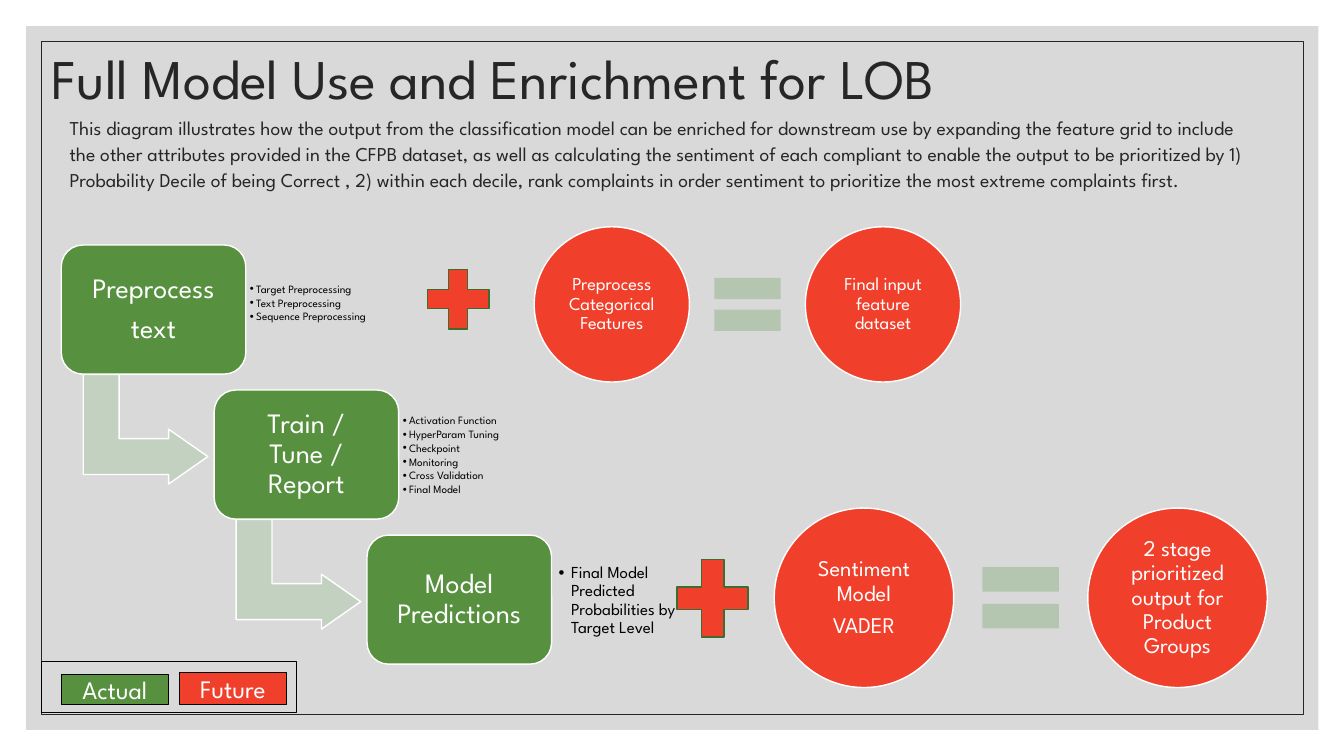
from dataclasses import dataclass

from lxml import etree
from pptx import Presentation
from pptx import util as u
from pptx.dml.color import RGBColor
from pptx.enum import shapes, text
from pptx.oxml import ns

Pt = u.Pt
Kind = shapes.MSO_SHAPE
Align = text.PP_ALIGN
Anchor = text.MSO_ANCHOR

FONT = "League Spartan"
WHITE = RGBColor(0xFF, 0xFF, 0xFF)
BLACK = RGBColor(0x00, 0x00, 0x00)
INK = RGBColor(0x26, 0x26, 0x26)
PANEL = RGBColor(0xD9, 0xD9, 0xD9)
GREEN = RGBColor(0x57, 0x90, 0x3F)
DARK_GREEN = RGBColor(0x40, 0x6B, 0x2F)
ARROW_GREEN = RGBColor(0xC3, 0xD1, 0xC0)
EQUAL_GREEN = RGBColor(0xB4, 0xC6, 0xB0)
RED = RGBColor(0xF0, 0x3F, 0x2B)

TITLE = "Full Model Use and Enrichment for LOB"
INTRO = (
    "This diagram illustrates how the output from the classification model can be "
    "enriched for downstream use by expanding the feature grid to include the other "
    "attributes provided in the CFPB dataset, as well as calculating the sentiment of "
    "each compliant to enable the output to be prioritized by 1) Probability Decile of "
    "being Correct , 2) within each decile, rank complaints in order sentiment to "
    "prioritize the most extreme complaints first."
)


@dataclass
class Frame:
    left: float
    top: float
    width: float
    height: float


@dataclass
class Style:
    size: float
    color: RGBColor = WHITE
    align: Align = Align.CENTER
    spacing: float = 0.9
    after: float = 0
    inset: float = 5.5
    anchor: Anchor = Anchor.MIDDLE
    bullet_indent: float = 0


@dataclass
class Step:
    label: str
    details: str
    size: float
    inset: float
    indent: float
    lift: float = 0


@dataclass
class Equation:
    plus: Frame
    lefts: tuple[float, float]
    top: float
    diameter: float
    labels: tuple[str, str]
    size: float


STEPS = [
    Step("Preprocess\ntext",
         "Target Preprocessing\nText Preprocessing\nSequence Preprocessing",
         8, 2.9, 4.5, lift=5),
    Step("Train / Tune / Report",
         "Activation Function\nHyperParam Tuning\nCheckpoint\nMonitoring\n"
         "Cross Validation\nFinal Model", 8, 2.9, 4.5),
    Step("Model Predictions",
         "Final Model Predicted Probabilities by Target Level", 12, 5, 9),
]
EQUATIONS = [
    Equation(Frame(297.4, 185, 59.8, 57.6), (381.6, 575.3), 162, 110.9,
             ("Preprocess Categorical Features", "Final input feature dataset"), 13),
    Equation(Frame(474.5, 389.5, 69.1, 75.6), (553, 777), 362.9, 128.2,
             ("Sentiment Model\nVADER",
              "2 stage prioritized output for Product Groups"), 16),
]
LEGEND = [
    ("Actual", GREEN, Frame(43.9, 481.7, 76.3, 21.6)),
    ("Future", RED, Frame(128.2, 480.2, 76.3, 23)),
]


def place(shape, frame: Frame) -> None:
    shape.left, shape.top = Pt(frame.left), Pt(frame.top)
    shape.width, shape.height = Pt(frame.width), Pt(frame.height)


def write(shape, words: str, style: Style) -> None:
    box = shape.text_frame
    box.text = words
    box.word_wrap = True
    box.auto_size = text.MSO_AUTO_SIZE.NONE
    box.vertical_anchor = style.anchor
    box.margin_left = box.margin_right = Pt(style.inset)
    box.margin_top = box.margin_bottom = Pt(min(style.inset, 5.5))
    for para in box.paragraphs:
        para.alignment = style.align
        para.line_spacing = style.spacing
        para.space_before = Pt(0)
        para.space_after = Pt(style.after)
        if style.bullet_indent:
            properties = para._p.get_or_add_pPr()
            properties.set("marL", str(Pt(style.bullet_indent)))
            properties.set("indent", str(-Pt(style.bullet_indent)))
            etree.SubElement(properties, ns.qn("a:buChar")).set("char", "•")
        for span in para.runs:
            span.font.name = FONT
            span.font.size = Pt(style.size)
            span.font.bold = False
            span.font.color.rgb = style.color


def draw(page, kind: Kind, frame: Frame, fill: RGBColor | None = None,
         line: RGBColor | None = None, weight: float = 1):
    shape = page.shapes.add_shape(kind, Pt(frame.left), Pt(frame.top),
                                  Pt(frame.width), Pt(frame.height))
    shape.shadow.inherit = False
    if fill is None:
        shape.fill.background()
    else:
        shape.fill.solid()
        shape.fill.fore_color.rgb = fill
    if line is None:
        shape.line.fill.background()
    else:
        shape.line.color.rgb = line
        shape.line.width = Pt(weight)
    return shape


def draw_background(page) -> None:
    panel = draw(page, Kind.RECTANGLE, Frame(18.7, 18.7, 923, 502.6), PANEL)
    border = draw(page, Kind.RECTANGLE, Frame(29.5, 29.5, 901.4, 481), None, INK, 0.5)
    # Keep the backdrop behind the placeholders
    for position, shape in enumerate((panel, border), start=2):
        page.shapes._spTree.insert(position, shape._element)


def draw_step(page, index: int, step: Step, details) -> None:
    left, top = 43.8 + 109.2 * index, 175 + 103.6 * index
    width, height = 131.8, 92.2
    if index < len(STEPS) - 1:
        arrow = draw(page, Kind.BENT_UP_ARROW, Frame(left + 21, top + 87.1, 78.3, 89),
                     ARROW_GREEN, WHITE)
        arrow.rotation = 90
        for number, value in enumerate((0.328, 0.25, 0.358)):
            arrow.adjustments[number] = value
    box = draw(page, Kind.ROUNDED_RECTANGLE, Frame(left, top, width, height), GREEN, WHITE)
    write(box, step.label, Style(20, after=7))
    place(details, Frame(left + width, top + 9.3 - step.lift, 96, 75))
    write(details, step.details,
          Style(step.size, BLACK, Align.LEFT, after=1.2, inset=step.inset,
                bullet_indent=step.indent))


def draw_equation(page, equation: Equation) -> None:
    draw(page, Kind.MATH_PLUS, equation.plus, RED, DARK_GREEN)
    diameter = equation.diameter
    for left, label in zip(equation.lefts, equation.labels):
        circle = draw(page, Kind.OVAL, Frame(left, equation.top, diameter, diameter),
                      RED, WHITE)
        write(circle, label, Style(equation.size, after=0.35 * equation.size, inset=1.4))
    # The equals sign sits midway between the circles
    side = 0.58 * diameter
    middle = (sum(equation.lefts) + diameter) / 2
    draw(page, Kind.MATH_EQUAL,
         Frame(middle - side / 2, equation.top + (diameter - side) / 2, side, side),
         EQUAL_GREEN)


def main() -> None:
    deck = Presentation()
    deck.slide_width, deck.slide_height = Pt(960), Pt(540)
    page = deck.slides.add_slide(deck.slide_layouts.get_by_name("Comparison"))
    title, intro, *detail_lists = page.placeholders
    draw_background(page)

    # Heading and introduction
    place(title, Frame(29.5, 4.3, 792, 108))
    write(title, TITLE, Style(40, INK, Align.LEFT, inset=7.2))
    place(intro, Frame(42.5, 75.6, 864, 77.8))
    write(intro, INTRO, Style(14, INK, Align.LEFT, 1.1, inset=7.2, anchor=Anchor.TOP))

    # Staircase of model steps
    for index, (step, details) in enumerate(zip(STEPS, detail_lists)):
        draw_step(page, index, step, details)

    # Enrichment equations
    for equation in EQUATIONS:
        draw_equation(page, equation)

    # Legend
    for label, fill, frame in LEGEND:
        key = draw(page, Kind.RECTANGLE, frame, fill, BLACK)
        write(key, label, Style(18, spacing=1))
    draw(page, Kind.RECTANGLE, Frame(29.5, 472.3, 182.2, 36.7), None, BLACK)

    deck.save("out.pptx")


if __name__ == "__main__":
    main()
